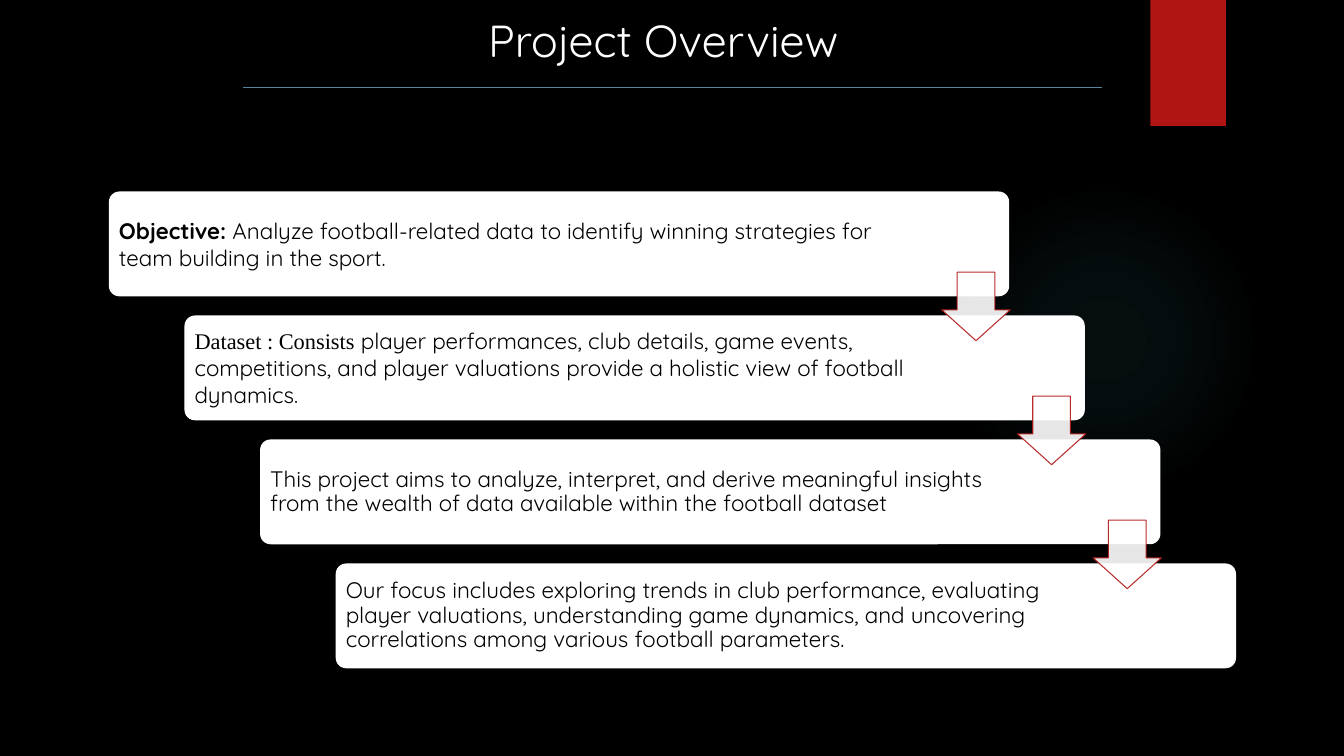
"""Build the Project Overview slide: four stepped cards joined by arrows."""
import pptx
import pptx.dml.color
import pptx.enum.shapes
import pptx.enum.text
import pptx.oxml
import pptx.oxml.ns
import pptx.util

Inches = pptx.util.Inches
SHAPES = pptx.enum.shapes.MSO_SHAPE
ALIGN = pptx.enum.text.PP_ALIGN
ANCHOR = pptx.enum.text.MSO_ANCHOR
COLORS = {
    "background": "000000",
    "ink": "000000",
    "card": "FFFFFF",
    "title": "FFFFFF",
    "accent": "B01513",
    "rule": "54849A",
    "glow": "50B9C1",
}
BODY_FONT = "Quicksand"
CARD_STEP_X, CARD_STEP_Y = 0.75, 1.23
CARDS = [
    (7.72, 1.0, [
        ("Objective:", {"bold": True}),
        (" Analyze football-related data to identify winning strategies for "
         "team building in the sport.", {}),
    ]),
    (7.45, 1.0, [
        ("Dataset : Consists", {"font": "Times New Roman"}),
        (" player performances, club details, game events, competitions, and "
         "player valuations provide a holistic view of football dynamics.", {}),
    ]),
    (7.45, 0.9, [
        ("This project aims to analyze, interpret, and derive meaningful insights "
         "from the wealth of data available within the football dataset", {}),
    ]),
    (7.45, 0.9, [
        ("Our focus includes exploring trends in club performance, evaluating "
         "player valuations, understanding game dynamics, and uncovering "
         "correlations among various football parameters.", {}),
    ]),
]


def rgb(name):
    return pptx.dml.color.RGBColor.from_string(COLORS[name])


def add_run(paragraph, text, font=BODY_FONT, size=16, color="ink", bold=False):
    run = paragraph.add_run()
    run.text = text
    run.font.name = font
    run.font.size = pptx.util.Pt(size)
    run.font.bold = bold
    run.font.color.rgb = rgb(color)


def set_alpha(element, percent):
    for color in element.iter(pptx.oxml.ns.qn("a:srgbClr")):
        alpha = color.makeelement(pptx.oxml.ns.qn("a:alpha"), {"val": str(percent * 1000)})
        color.append(alpha)


class SlideBuilder:
    def __init__(self, slide):
        self.slide = slide
        slide.background.fill.solid()
        slide.background.fill.fore_color.rgb = rgb("background")

    def shape(self, kind, left, top, width, height, fill, adjustments=()):
        shape = self.slide.shapes.add_shape(
            kind, Inches(left), Inches(top), Inches(width), Inches(height))
        shape.shadow.inherit = False
        shape.fill.solid()
        shape.fill.fore_color.rgb = rgb(fill)
        shape.line.fill.background()
        for index, value in enumerate(adjustments):
            shape.adjustments[index] = value
        return shape

    def glow(self, left, top, size):
        glow = self.shape(SHAPES.OVAL, left, top, size, size, "glow")
        stops = "".join(
            f'<a:gs pos="{position * 1000}"><a:srgbClr val="{COLORS["glow"]}">'
            f'<a:alpha val="{alpha * 1000}"/></a:srgbClr></a:gs>'
            for position, alpha in ((0, 7), (36, 6), (69, 0), (100, 0)))
        gradient = pptx.oxml.parse_xml(
            f'<a:gradFill {pptx.oxml.ns.nsdecls("a")}><a:gsLst>{stops}</a:gsLst>'
            '<a:path path="circle"><a:fillToRect l="50000" t="50000" r="50000" b="50000"/>'
            '</a:path></a:gradFill>')
        properties = glow._element.spPr
        properties.replace(properties.find(pptx.oxml.ns.qn("a:solidFill")), gradient)

    def rule(self, left, right, top):
        rule = self.slide.shapes.add_connector(
            pptx.enum.shapes.MSO_CONNECTOR.STRAIGHT,
            Inches(left), Inches(top), Inches(right), Inches(top))
        rule.line.color.rgb = rgb("rule")
        rule.line.width = pptx.util.Pt(0.75)
        properties = rule._element.spPr
        properties.append(properties.makeelement(pptx.oxml.ns.qn("a:effectLst"), {}))

    def text(self, left, top, width, height, runs, anchor=ANCHOR.TOP,
             align=ALIGN.LEFT, spacing=1.0, inset=None):
        box = self.slide.shapes.add_textbox(
            Inches(left), Inches(top), Inches(width), Inches(height))
        frame = box.text_frame
        frame.word_wrap = True
        frame.vertical_anchor = anchor
        if inset is not None:
            frame.margin_left = frame.margin_right = Inches(inset)
            frame.margin_top = frame.margin_bottom = Inches(inset)
        paragraph = frame.paragraphs[0]
        paragraph.alignment = align
        paragraph.line_spacing = spacing
        for words, style in runs:
            add_run(paragraph, words, **style)

    def card(self, left, top, text_width, spacing, runs):
        self.shape(SHAPES.ROUNDED_RECTANGLE, left, top, 8.93, 1.04, "card", [0.1])
        self.text(left + 0.03, top + 0.03, text_width, 0.98, runs,
                  anchor=ANCHOR.MIDDLE, spacing=spacing, inset=0.07)

    def arrow(self, left, top):
        arrow = self.shape(SHAPES.DOWN_ARROW, left, top, 0.68, 0.68, "card", [0.55, 0.45])
        arrow.line.color.rgb = rgb("accent")
        arrow.line.width = pptx.util.Pt(0.75)
        set_alpha(arrow._element.spPr, 90)


def main():
    deck = pptx.Presentation()
    deck.slide_width, deck.slide_height = Inches(13.33), Inches(7.5)
    overview = SlideBuilder(deck.slides.add_slide(deck.slide_layouts[6]))
    overview.glow(9.41, 1.83, 3.08)
    overview.shape(SHAPES.RECTANGLE, 11.41, 0, 0.75, 1.25, "accent")
    overview.rule(2.41, 10.93, 0.87)
    for step, (text_width, spacing, runs) in enumerate(CARDS):
        overview.card(1.08 + step * CARD_STEP_X, 1.9 + step * CARD_STEP_Y,
                      text_width, spacing, runs)
    for step in range(len(CARDS) - 1):
        overview.arrow(9.34 + step * CARD_STEP_X, 2.7 + step * CARD_STEP_Y)
    overview.text(2.98, 0.08, 7.2, 0.64,
                  [("Project Overview", {"size": 32, "color": "title"})],
                  align=ALIGN.CENTER)
    deck.save("out.pptx")


if __name__ == "__main__":
    main()
